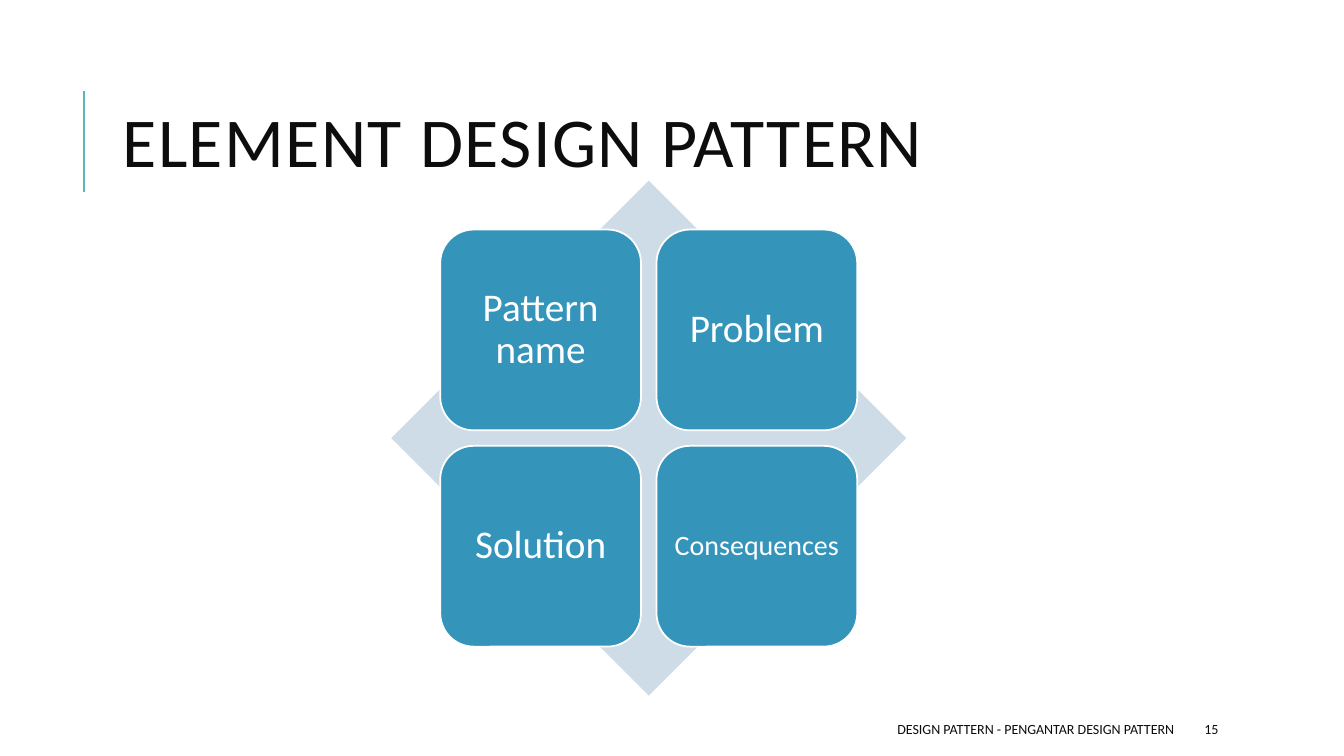
from lxml import etree
from pptx import Presentation
from pptx.dml.color import RGBColor
from pptx.enum.shapes import MSO_CONNECTOR, MSO_SHAPE
from pptx.enum.text import MSO_ANCHOR, PP_ALIGN
from pptx.oxml.ns import qn
from pptx.util import Cm, Pt

LEFT, CENTER, RIGHT = PP_ALIGN.LEFT, PP_ALIGN.CENTER, PP_ALIGN.RIGHT
MIDDLE = MSO_ANCHOR.MIDDLE
DIAMOND, ROUND = MSO_SHAPE.DIAMOND, MSO_SHAPE.ROUNDED_RECTANGLE
STRAIGHT = MSO_CONNECTOR.STRAIGHT

TITLE = "ELEMENT DESIGN PATTERN"
PARTS = [
    ("Pattern name", 28, 0.3),
    ("Problem", 28, 0.3),
    ("Solution", 28, 0.3),
    ("Consequences", 20, 0.2),
]
FOOTER = "DESIGN PATTERN - PENGANTAR DESIGN PATTERN"
NUMBER = "15"

FONT = "Calibri"
COLORS = {
    "rule": "58B6C0",
    "ink": "0D0D0D",
    "back": "CEDCE7",
    "tile": "3494BA",
    "white": "FFFFFF",
}
MID_X, MID_Y = 16.35, 11.04
SPAN = 12.98
TILE = 5.06
STEP = 5.45


def color(name):
    return RGBColor.from_string(COLORS[name])


def write(shape, text, size, ink="ink", align=LEFT, lead=1.0, pad=None, track=0):
    frame = shape.text_frame
    frame.word_wrap = True
    frame.vertical_anchor = MIDDLE
    if pad is not None:
        frame.margin_left = frame.margin_right = Cm(pad)
        frame.margin_top = frame.margin_bottom = Cm(pad)
    para = frame.paragraphs[0]
    para.alignment = align
    para.line_spacing = lead
    run = para.add_run()
    run.text = text
    run.font.name = FONT
    run.font.size = Pt(size)
    run.font.color.rgb = color(ink)
    if track:
        run.font._element.set("spc", str(track * 100))


def draw(slide, kind, x, y, size, fill):
    shape = slide.shapes.add_shape(
        kind, Cm(x - size / 2), Cm(y - size / 2), Cm(size), Cm(size))
    shape.shadow.inherit = False
    shape.fill.solid()
    shape.fill.fore_color.rgb = color(fill)
    shape.line.fill.background()
    return shape


def label(slide, x, y, w, h, text, size, **style):
    box = slide.shapes.add_textbox(Cm(x), Cm(y), Cm(w), Cm(h))
    write(box, text, size, **style)


def main():
    deck = Presentation()
    deck.slide_width, deck.slide_height = Cm(33.87), Cm(19.05)
    slide = deck.slides.add_slide(deck.slide_layouts[6])

    rule = slide.shapes.add_connector(
        STRAIGHT, Cm(2.12), Cm(4.83), Cm(2.12), Cm(2.29))
    rule.line.color.rgb = color("rule")
    rule.line.width = Pt(1.5)
    etree.SubElement(rule._element.spPr, qn("a:effectLst"))

    label(slide, 2.84, 1.63, 27, 4.17, TITLE, 50, lead=0.8, track=1)

    draw(slide, DIAMOND, MID_X, MID_Y, SPAN, "back")
    for i, (text, size, pad) in enumerate(PARTS):
        row, col = divmod(i, 2)
        x = MID_X + (col - 0.5) * STEP
        y = MID_Y + (row - 0.5) * STEP
        tile = draw(slide, ROUND, x, y, TILE, "tile")
        tile.line.color.rgb = color("white")
        tile.line.width = Pt(1.25)
        write(tile, text, size, ink="white", align=CENTER, lead=0.9, pad=pad)

    label(slide, 13.46, 17.98, 16.38, 0.76, FOOTER, 10, align=RIGHT)
    label(slide, 30.1, 17.98, 2.69, 0.76, NUMBER, 10)

    deck.save("out.pptx")


if __name__ == "__main__":
    main()
